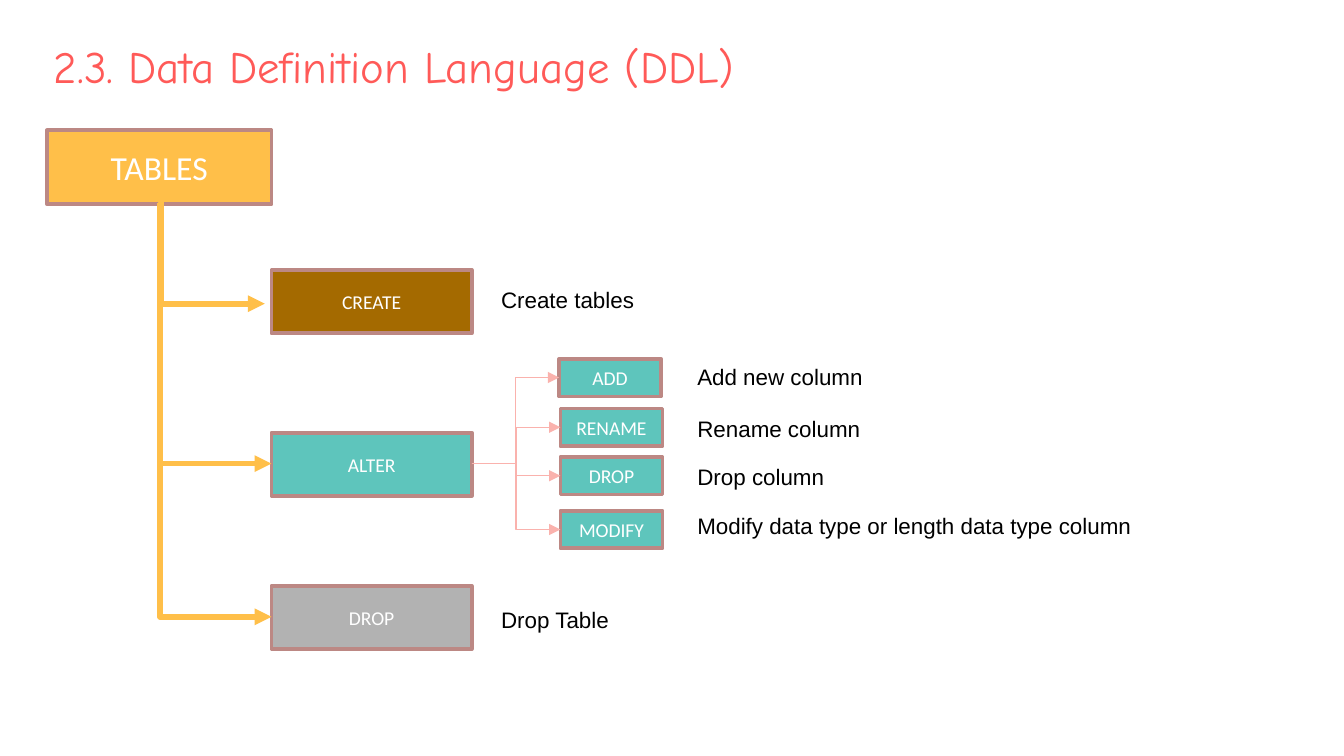
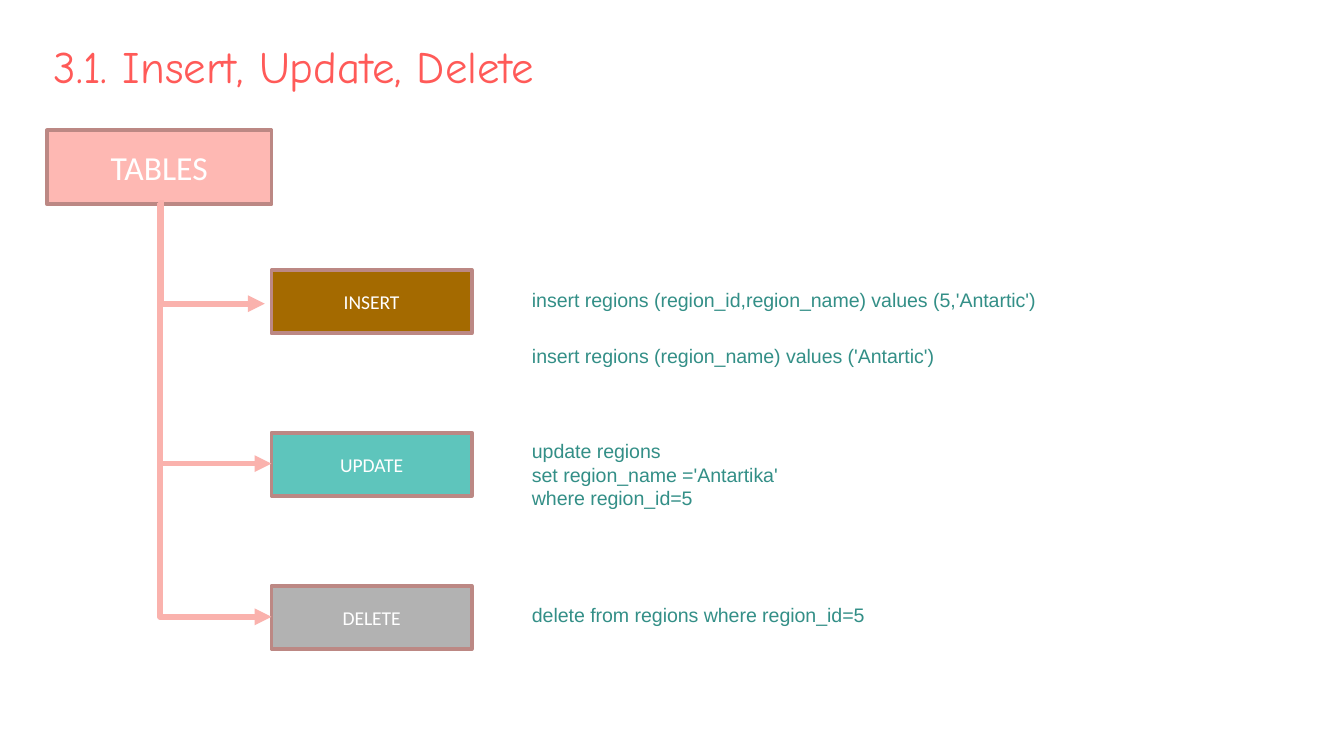
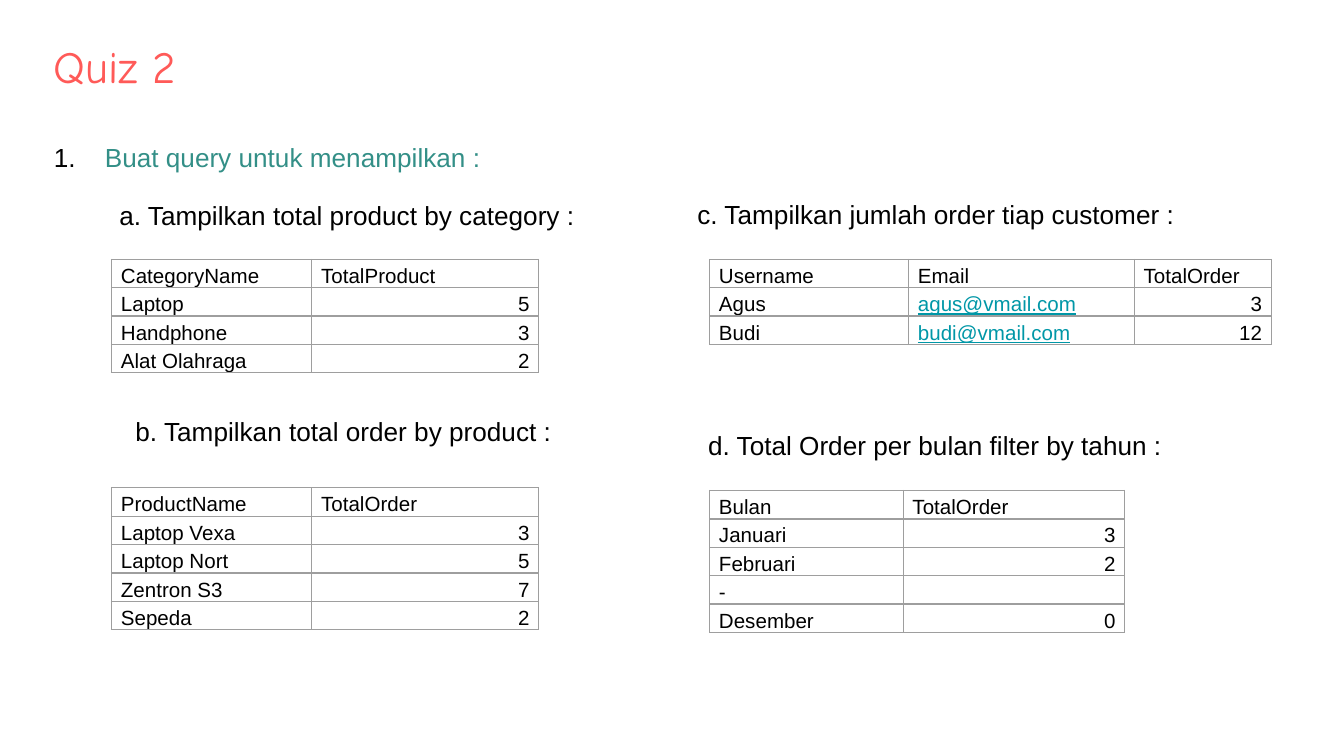
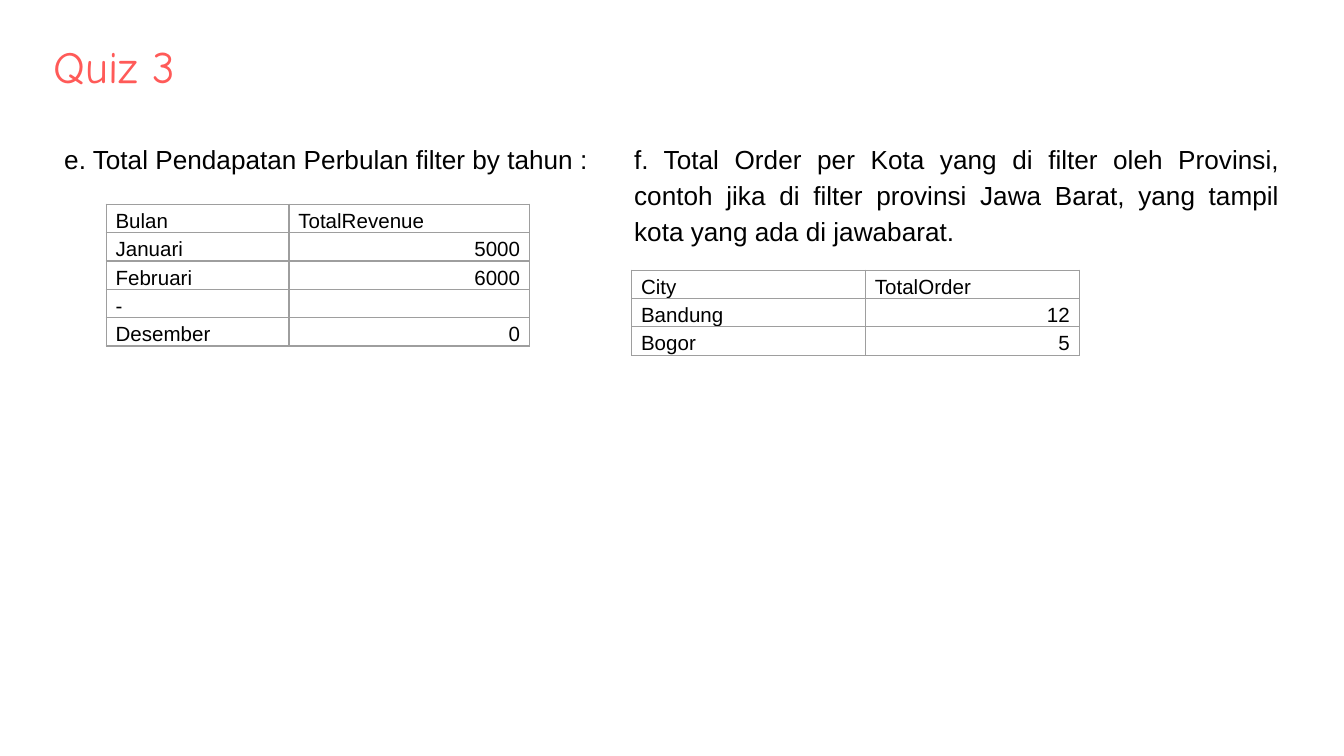
"""Build four SQL course slides: two statement trees and two quiz pages."""
from dataclasses import dataclass
from typing import Optional

from lxml import etree
from pptx import Presentation
from pptx.dml.color import RGBColor
from pptx.enum import shapes, text
from pptx.oxml.ns import qn
from pptx.util import Inches, Pt

CORAL = RGBColor(0xFF, 0x5A, 0x58)
AMBER = RGBColor(0xFF, 0xBF, 0x49)
BROWN = RGBColor(0xA4, 0x6A, 0x00)
TEAL = RGBColor(0x5E, 0xC5, 0xBC)
DARK_TEAL = RGBColor(0x33, 0x8F, 0x87)
GREY = RGBColor(0xB2, 0xB2, 0xB2)
PINK = RGBColor(0xFE, 0xB8, 0xB3)
PINK_LINE = RGBColor(0xFA, 0xB2, 0xAD)
BOX_EDGE = RGBColor(0xBC, 0x88, 0x84)
TABLE_EDGE = RGBColor(0x9E, 0x9E, 0x9E)
LINK = RGBColor(0x00, 0x97, 0xA7)
BLACK = RGBColor(0, 0, 0)
WHITE = RGBColor(0xFF, 0xFF, 0xFF)
LEFT, RIGHT = text.PP_ALIGN.LEFT, text.PP_ALIGN.RIGHT
CENTER, JUSTIFY = text.PP_ALIGN.CENTER, text.PP_ALIGN.JUSTIFY


@dataclass(frozen=True)
class Box:
    """A filled rectangle with a centred label."""
    label: str
    x: float
    y: float
    w: float
    h: float
    fill: RGBColor
    size: float = 10.5


@dataclass(frozen=True)
class Link:
    """An elbow arrow; bend is the turning point as a share of its width."""
    x1: float
    y1: float
    x2: float
    y2: float
    color: RGBColor
    width: float
    bend: float = 0.5


@dataclass(frozen=True)
class Note:
    """A free text box."""
    words: str
    x: float
    y: float
    w: float
    h: float = 0.3
    size: float = 12
    color: RGBColor = BLACK
    wrap: bool = False


@dataclass(frozen=True)
class Grid:
    """A bordered table whose first row holds the column names."""
    x: float
    y: float
    cols: tuple[float, ...]
    rows: tuple[tuple[str, ...], ...]


def write(tf, words: str, *, size: float, color: RGBColor = BLACK, font: str = "Arial",
          align=LEFT, spacing: Optional[float] = None, before: Optional[float] = None,
          after: Optional[float] = None, underline: Optional[bool] = None) -> None:
    """Fill a text frame, one paragraph per line of words."""
    for i, line in enumerate(words.split("\n")):
        p = tf.add_paragraph() if i else tf.paragraphs[0]
        p.alignment = align
        if spacing is not None:
            p.line_spacing = spacing
        if before is not None:
            p.space_before = Pt(before)
        if after is not None:
            p.space_after = Pt(after)
        if not line:
            etree.SubElement(p._p, qn("a:endParaRPr"), sz=str(int(size * 100)))
            continue
        r = p.add_run()
        r.text = line
        r.font.size, r.font.name = Pt(size), font
        r.font.color.rgb = color
        r.font.underline = underline


def place(sp, x: float, y: float, w: float, h: float) -> None:
    """Move and size a shape."""
    sp.left, sp.top, sp.width, sp.height = Inches(x), Inches(y), Inches(w), Inches(h)


def add_slide(prs, title: str, layout: int = 5):
    """Add a slide with the shared title style."""
    s = prs.slides.add_slide(prs.slide_layouts[layout])
    sp = s.shapes.title
    place(sp, 0.3, 0.11, 8.37, 0.68)
    tf = sp.text_frame
    tf.auto_size = text.MSO_AUTO_SIZE.NONE
    tf.vertical_anchor = text.MSO_ANCHOR.BOTTOM
    tf.margin_left = tf.margin_right = tf.margin_top = tf.margin_bottom = Inches(0.1)
    write(tf, title, size=24, color=CORAL, font="Comic Neue")
    return s


def draw_box(s, b: Box) -> None:
    """Draw a labelled rectangle."""
    sp = s.shapes.add_shape(shapes.MSO_SHAPE.RECTANGLE, Inches(b.x), Inches(b.y),
                            Inches(b.w), Inches(b.h))
    sp.shadow.inherit = False
    sp.fill.solid()
    sp.fill.fore_color.rgb = b.fill
    sp.line.color.rgb, sp.line.width = BOX_EDGE, Pt(2)
    sp.text_frame.vertical_anchor = text.MSO_ANCHOR.MIDDLE
    write(sp.text_frame, b.label, size=b.size, color=WHITE, font="Calibri", align=CENTER)


def draw_link(s, k: Link) -> None:
    """Draw an elbow connector with an arrowhead at its end."""
    cx = s.shapes.add_connector(shapes.MSO_CONNECTOR.ELBOW, Inches(k.x1), Inches(k.y1),
                                Inches(k.x2), Inches(k.y2))
    cx.line.color.rgb, cx.line.width = k.color, Pt(k.width)
    pr = cx._element.spPr
    etree.SubElement(pr.find(qn("a:ln")), qn("a:tailEnd"), type="triangle")
    etree.SubElement(pr, qn("a:effectLst"))
    geom = pr.find(qn("a:prstGeom"))
    av = geom.find(qn("a:avLst"))
    if av is None:
        av = etree.SubElement(geom, qn("a:avLst"))
    etree.SubElement(av, qn("a:gd"), name="adj1", fmla=f"val {round(k.bend * 100000)}")


def draw_note(s, n: Note, **style) -> None:
    """Draw a text box that grows with its text."""
    sp = s.shapes.add_textbox(Inches(n.x), Inches(n.y), Inches(n.w), Inches(n.h))
    tf = sp.text_frame
    tf.word_wrap = n.wrap
    tf.auto_size = text.MSO_AUTO_SIZE.SHAPE_TO_FIT_TEXT
    write(tf, n.words, size=n.size, color=n.color, **style)


def draw_question(s, words: str, x: float, y: float, w: float, h: float = 0.35,
                  wrap: bool = False) -> None:
    """Draw a quiz question."""
    draw_note(s, Note(words, x, y, w, h, 14, wrap=wrap), align=JUSTIFY, spacing=1.15,
              before=12, after=22)


def draw_grid(s, g: Grid) -> None:
    """Draw a table with thin grey borders and right-aligned numbers."""
    row_h = 0.2
    tbl = s.shapes.add_table(len(g.rows), len(g.cols), Inches(g.x), Inches(g.y),
                             Inches(sum(g.cols)), Inches(row_h * len(g.rows))).table
    tbl.first_row = tbl.horz_banding = False
    for col, w in zip(tbl.columns, g.cols):
        col.width = Inches(w)
    for row, values in zip(tbl.rows, g.rows):
        row.height = Inches(row_h)
        for cell, value in zip(row.cells, values):
            cell.margin_left = cell.margin_right = Inches(0.07)
            cell.margin_top = cell.margin_bottom = 0
            cell.vertical_anchor = text.MSO_ANCHOR.BOTTOM
            for side in ("lnL", "lnR", "lnT", "lnB"):
                ln = etree.SubElement(cell._tc.tcPr, qn(f"a:{side}"), w=str(Pt(0.75)))
                fill = etree.SubElement(ln, qn("a:solidFill"))
                etree.SubElement(fill, qn("a:srgbClr"), val=str(TABLE_EDGE))
            cell.fill.background()
            is_mail = "@" in value
            write(cell.text_frame, value, size=11, color=LINK if is_mail else BLACK,
                  underline=True if is_mail else None,
                  align=RIGHT if value.isdigit() else LEFT, spacing=1.15, before=12)


def draw_tree(s, labels: tuple[str, str, str], root: RGBColor, trunk: RGBColor) -> None:
    """Draw the TABLES root, its three statements and the arrows to them."""
    draw_box(s, Box("TABLES", 0.35, 0.97, 1.67, 0.55, root, 18))
    for label, y, fill in zip(labels, (2.01, 3.22, 4.36), (BROWN, TEAL, GREY)):
        draw_box(s, Box(label, 2.02, y, 1.49, 0.47, fill))
    draw_link(s, Link(1.22, 1.51, 1.97, 2.26, trunk, 3, -0.03))
    for y in (3.45, 4.59):
        draw_link(s, Link(1.19, 1.51, 2.02, y, trunk, 3, 0))


def ddl_slide(prs) -> None:
    """Build the data definition slide."""
    s = add_slide(prs, "2.3. Data Definition Language (DDL)")
    draw_tree(s, ("CREATE", "ALTER", "DROP"), AMBER, AMBER)
    actions = (
        ("ADD", 4.16, 2.67, "Add new column", 2.65, 1.44),
        ("RENAME", 4.17, 3.04, "Rename column", 3.04, 1.42),
        ("DROP", 4.17, 3.4, "Drop column", 3.4, 1.15),
        ("MODIFY", 4.17, 3.8, "Modify data type or length data type column", 3.76, 3.46),
    )
    for label, x, y, words, note_y, note_w in actions:
        draw_box(s, Box(label, x, y, 0.76, 0.28, TEAL))
        draw_link(s, Link(3.51, 3.45, x, y + 0.14, PINK_LINE, 0.75))
        draw_note(s, Note(words, 5.09, note_y, note_w))
    draw_note(s, Note("Create tables", 3.63, 2.08, 1.2))
    draw_note(s, Note("Drop Table", 3.63, 4.46, 1.03))


def dml_slide(prs) -> None:
    """Build the insert, update and delete slide."""
    s = add_slide(prs, "3.1. Insert, Update, Delete")
    draw_tree(s, ("INSERT", "UPDATE", "DELETE"), PINK, PINK_LINE)
    statements = (
        ("insert regions (region_id,region_name) values (5,'Antartic')", 2.09, 4.03, 0.28),
        ("insert regions (region_name) values ('Antartic')", 2.51, 3.25, 0.28),
        ("update regions\nset region_name ='Antartika'\nwhere region_id=5", 3.22, 5, 0.63),
        ("delete from regions where region_id=5", 4.44, 2.73, 0.28),
    )
    for words, y, w, h in statements:
        draw_note(s, Note(words, 3.86, y, w, h, 10.5, DARK_TEAL, "\n" in words))


def quiz_2_slide(prs) -> None:
    """Build the quiz slide with four result tables."""
    s = add_slide(prs, "Quiz 2", layout=1)
    sp = s.placeholders[1]
    place(sp, 0.3, 0.97, 8.87, 0.35)
    sp.text_frame.auto_size = text.MSO_AUTO_SIZE.SHAPE_TO_FIT_TEXT
    write(sp.text_frame, "Buat query untuk menampilkan :", size=14, color=DARK_TEAL,
          align=JUSTIFY, spacing=1.15, before=0, after=22)
    pr = sp.text_frame.paragraphs[0]._p.get_or_add_pPr()
    pr.set("marL", str(Inches(0.38)))
    pr.set("indent", str(-Inches(0.38)))
    clr = etree.SubElement(pr, qn("a:buClr"))
    etree.SubElement(clr, qn("a:srgbClr"), val=str(BLACK))
    etree.SubElement(pr, qn("a:buFont"), typeface="Arial")
    etree.SubElement(pr, qn("a:buAutoNum"), type="arabicPeriod")

    draw_question(s, "a. Tampilkan total product by category :", 0.79, 1.4, 3.63)
    draw_question(s, "b. Tampilkan total order by product :", 0.91, 3.01, 3.33)
    draw_question(s, "c. Tampilkan jumlah order tiap customer :", 5.09, 1.39, 3.79)
    draw_question(s, "d. Total Order per bulan filter by tahun :", 5.17, 3.11, 3.62)
    draw_grid(s, Grid(0.83, 1.93, (1.49, 1.69), (
        ("CategoryName", "TotalProduct"), ("Laptop", "5"), ("Handphone", "3"),
        ("Alat Olahraga", "2"))))
    draw_grid(s, Grid(0.83, 3.63, (1.49, 1.69), (
        ("ProductName", "TotalOrder"), ("Laptop Vexa", "3"), ("Laptop Nort", "5"),
        ("Zentron S3", "7"), ("Sepeda", "2"))))
    draw_grid(s, Grid(5.28, 1.93, (1.48, 1.68, 1.02), (
        ("Username", "Email", "TotalOrder"), ("Agus", "agus@vmail.com", "3"),
        ("Budi", "budi@vmail.com", "12"))))
    draw_grid(s, Grid(5.28, 3.65, (1.44, 1.65), (
        ("Bulan", "TotalOrder"), ("Januari", "3"), ("Februari", "2"), ("-", ""),
        ("Desember", "0"))))


def quiz_3_slide(prs) -> None:
    """Build the quiz slide with two result tables."""
    s = add_slide(prs, "Quiz 3")
    draw_question(s, "e. Total Pendapatan Perbulan filter by tahun :", 0.38, 0.98, 4.14)
    draw_question(s, "f. Total Order per Kota yang di filter oleh Provinsi, contoh jika di "
                     "filter provinsi Jawa Barat, yang tampil kota yang ada di jawabarat.",
                  4.62, 0.98, 5, 0.89, wrap=True)
    draw_grid(s, Grid(0.79, 1.52, (1.36, 1.79), (
        ("Bulan", "TotalRevenue"), ("Januari", "5000"), ("Februari", "6000"), ("-", ""),
        ("Desember", "0"))))
    draw_grid(s, Grid(4.7, 2.01, (1.74, 1.59), (
        ("City", "TotalOrder"), ("Bandung", "12"), ("Bogor", "5"))))


def main() -> None:
    """Build and save the 16:9 presentation."""
    prs = Presentation()
    prs.slide_width = Inches(10)
    prs.slide_height = Inches(10 * 9 / 16)
    for build in (ddl_slide, dml_slide, quiz_2_slide, quiz_3_slide):
        build(prs)
    prs.save("out.pptx")


if __name__ == "__main__":
    main()
